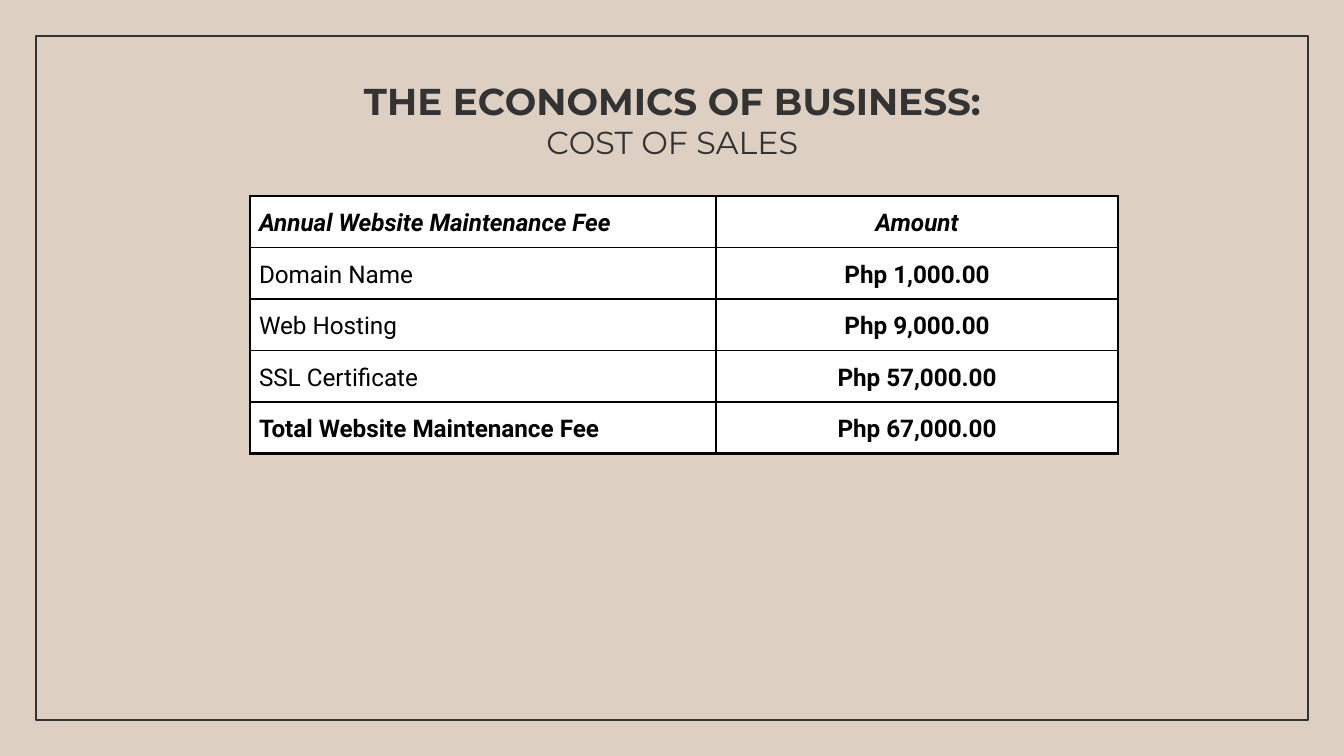
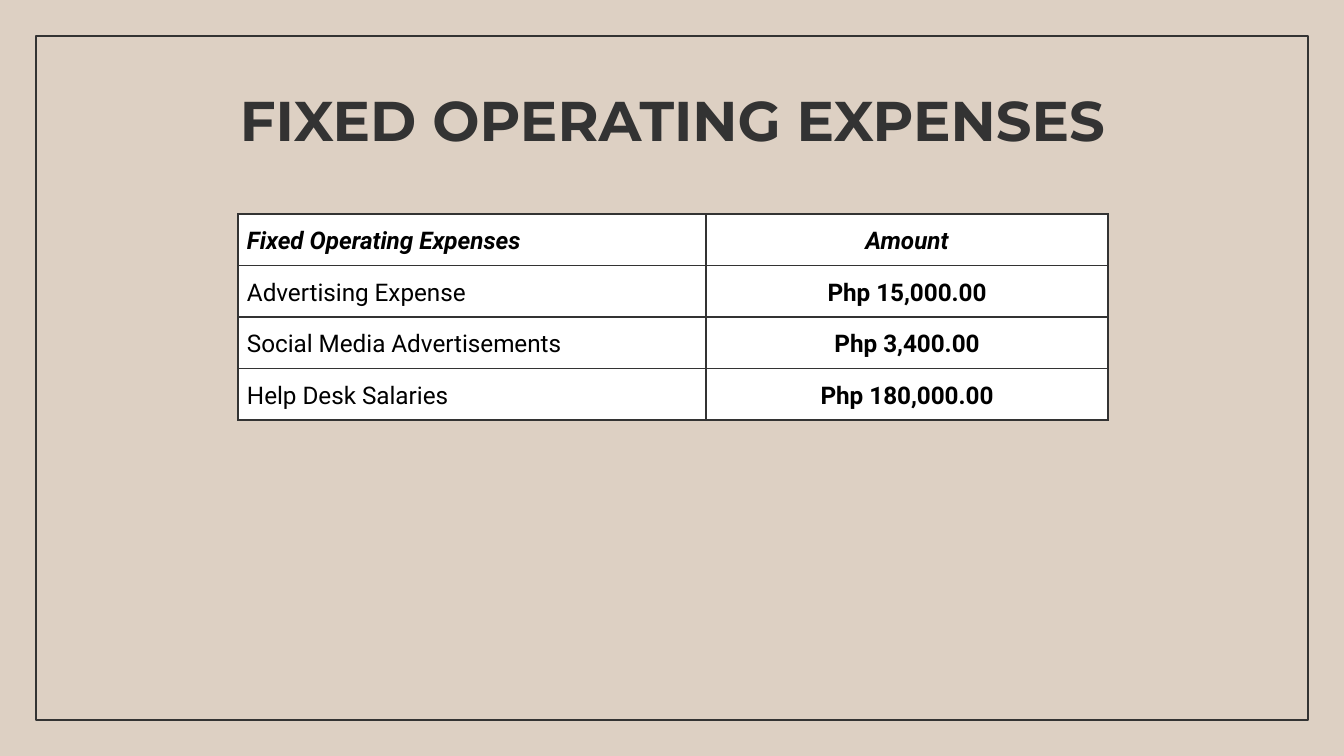
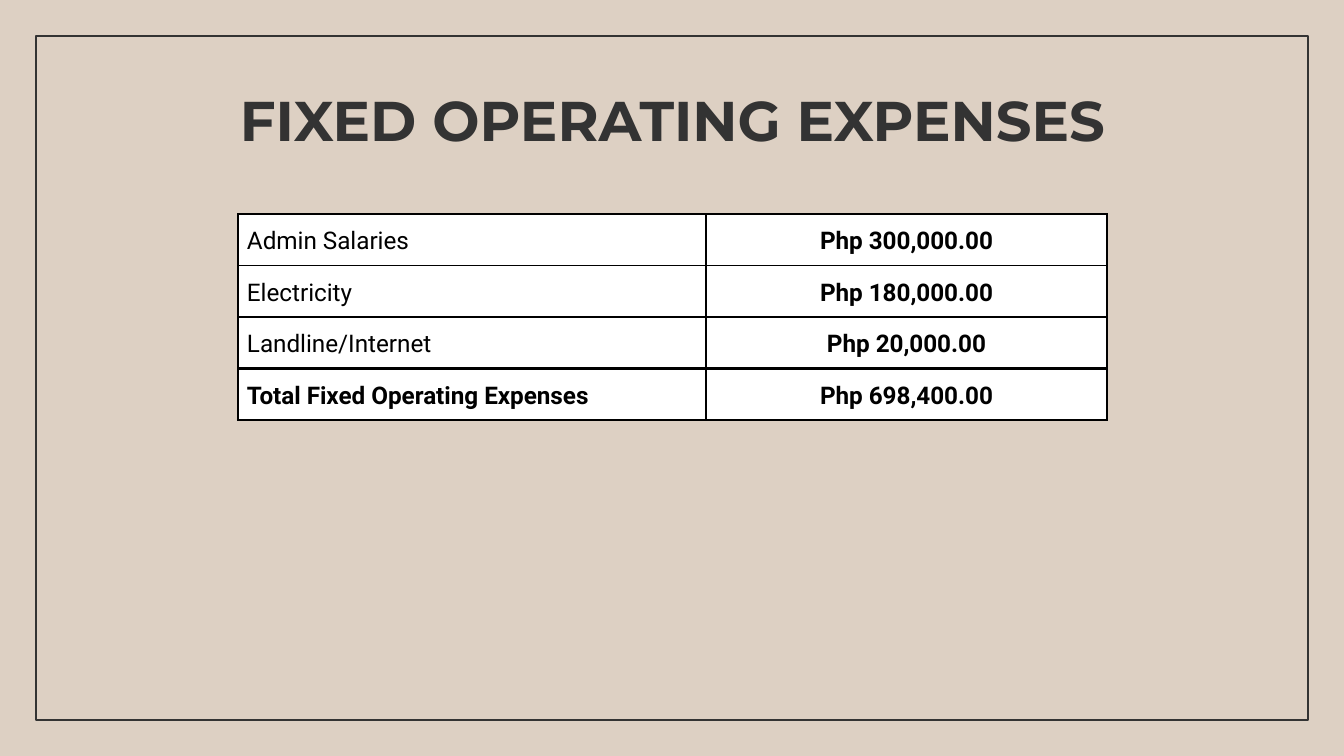
from pptx import Presentation
from pptx.dml.color import RGBColor
from pptx.enum.shapes import MSO_SHAPE
from pptx.enum.text import MSO_ANCHOR, PP_ALIGN
from pptx.oxml import parse_xml
from pptx.oxml.ns import nsdecls
from pptx.util import Pt

# Shared style
COLORS = {"sand": "DDD0C3", "ink": "333333", "black": "000000", "white": "FFFFFF"}
TITLE_FONT, TABLE_FONT = "Montserrat", "Roboto"
PX = 914400 / 134.4
SLIDE_SIZE = (1344, 756)
FRAME = (36, 36, 1272, 684)
TITLE_BOX = (106, 77, 1133, 85)
ROW_HEIGHT = 48
CELL_INSET = 9
TITLE_INSET = 13
THIN, THICK = 1, 1.5

# Content: title lines are (text, size, bold); total_rule is the line above the total
EXPENSES_TITLE = [("FIXED OPERATING EXPENSES", 30, True)]
SLIDES = [
    {
        "title": [("THE ECONOMICS OF BUSINESS:", 20, True), ("COST OF SALES", 17, False)],
        "at": (250, 196), "columns": (466, 402), "border": "black", "total_rule": THIN,
        "header": ("Annual Website Maintenance Fee", "Amount"),
        "items": [
            ("Domain Name", "Php 1,000.00"),
            ("Web Hosting", "Php 9,000.00"),
            ("SSL Certificate", "Php 57,000.00"),
        ],
        "total": ("Total Website Maintenance Fee", "Php 67,000.00"),
    },
    {
        "title": EXPENSES_TITLE,
        "at": (238, 214), "columns": (468, 402), "border": "ink",
        "header": ("Fixed Operating Expenses", "Amount"),
        "items": [
            ("Advertising Expense", "Php 15,000.00"),
            ("Social Media Advertisements", "Php 3,400.00"),
            ("Help Desk Salaries", "Php 180,000.00"),
        ],
    },
    {
        "title": EXPENSES_TITLE,
        "at": (238, 214), "columns": (468, 401), "border": "black", "total_rule": THICK,
        "items": [
            ("Admin Salaries", "Php 300,000.00"),
            ("Electricity", "Php 180,000.00"),
            ("Landline/Internet", "Php 20,000.00"),
        ],
        "total": ("Total Fixed Operating Expenses", "Php 698,400.00"),
    },
]


def px(*lengths):
    return [round(length * PX) for length in lengths]


def rgb(color):
    return RGBColor.from_string(COLORS[color])


def add_run(paragraph, text, font_name, size, color, bold, italic=False):
    run = paragraph.add_run()
    run.text = text
    font = run.font
    font.name, font.size, font.bold, font.italic = font_name, Pt(size), bold, italic
    font.color.rgb = rgb(color)


def set_insets(holder, inset):
    (margin,) = px(inset)
    holder.margin_left = holder.margin_right = margin
    holder.margin_top = holder.margin_bottom = margin


def add_frame(slide):
    frame = slide.shapes.add_shape(MSO_SHAPE.RECTANGLE, *px(*FRAME))
    frame.shadow.inherit = False
    frame.fill.background()
    frame.line.color.rgb = rgb("ink")
    frame.line.width = Pt(0.75)


def add_title(slide, lines):
    title = slide.shapes.add_textbox(*px(*TITLE_BOX)).text_frame
    title.word_wrap = True
    title.vertical_anchor = MSO_ANCHOR.MIDDLE
    set_insets(title, TITLE_INSET)
    for i, (text, size, bold) in enumerate(lines):
        paragraph = title.add_paragraph() if i else title.paragraphs[0]
        paragraph.alignment = PP_ALIGN.CENTER
        add_run(paragraph, text, TITLE_FONT, size, "ink", bold)


def set_borders(cell, color, top, bottom, sides):
    # Borders come before the fill in the cell properties
    properties = cell._tc.get_or_add_tcPr()
    widths = {"lnL": sides, "lnR": sides, "lnT": top, "lnB": bottom}
    for i, (edge, width) in enumerate(widths.items()):
        properties.insert(i, parse_xml(
            f'<a:{edge} {nsdecls("a")} w="{Pt(width)}"><a:solidFill>'
            f'<a:srgbClr val="{COLORS[color]}"/></a:solidFill></a:{edge}>'))


def add_cost_table(slide, content):
    rows = [("item", item) for item in content["items"]]
    if "header" in content:
        rows.insert(0, ("header", content["header"]))
    if "total" in content:
        rows.append(("total", content["total"]))
    columns = content["columns"]
    table = slide.shapes.add_table(
        len(rows), len(columns),
        *px(*content["at"], sum(columns), ROW_HEIGHT * len(rows))).table
    for column, width in zip(table.columns, columns):
        (column.width,) = px(width)

    for r, (role, texts) in enumerate(rows):
        (table.rows[r].height,) = px(ROW_HEIGHT)
        is_total = role == "total"
        above_total = r + 1 < len(rows) and rows[r + 1][0] == "total"
        edge = THICK if is_total else THIN
        top = content["total_rule"] if is_total else THIN
        bottom = content["total_rule"] if above_total else edge
        for c, text in enumerate(texts):
            cell = table.cell(r, c)
            set_insets(cell, CELL_INSET)
            cell.fill.solid()
            cell.fill.fore_color.rgb = rgb("white")
            set_borders(cell, content["border"], top, bottom, edge)
            paragraph = cell.text_frame.paragraphs[0]
            paragraph.alignment = PP_ALIGN.CENTER if c else PP_ALIGN.LEFT
            paragraph.line_spacing = 1.15
            add_run(paragraph, text, TABLE_FONT, 13, "black",
                    bold=c == 1 or role != "item", italic=role == "header")


def main():
    deck = Presentation()
    deck.slide_width, deck.slide_height = px(*SLIDE_SIZE)
    for content in SLIDES:
        slide = deck.slides.add_slide(deck.slide_layouts[6])
        slide.background.fill.solid()
        slide.background.fill.fore_color.rgb = rgb("sand")
        add_frame(slide)
        add_title(slide, content["title"])
        add_cost_table(slide, content)
    deck.save("out.pptx")


if __name__ == "__main__":
    main()
